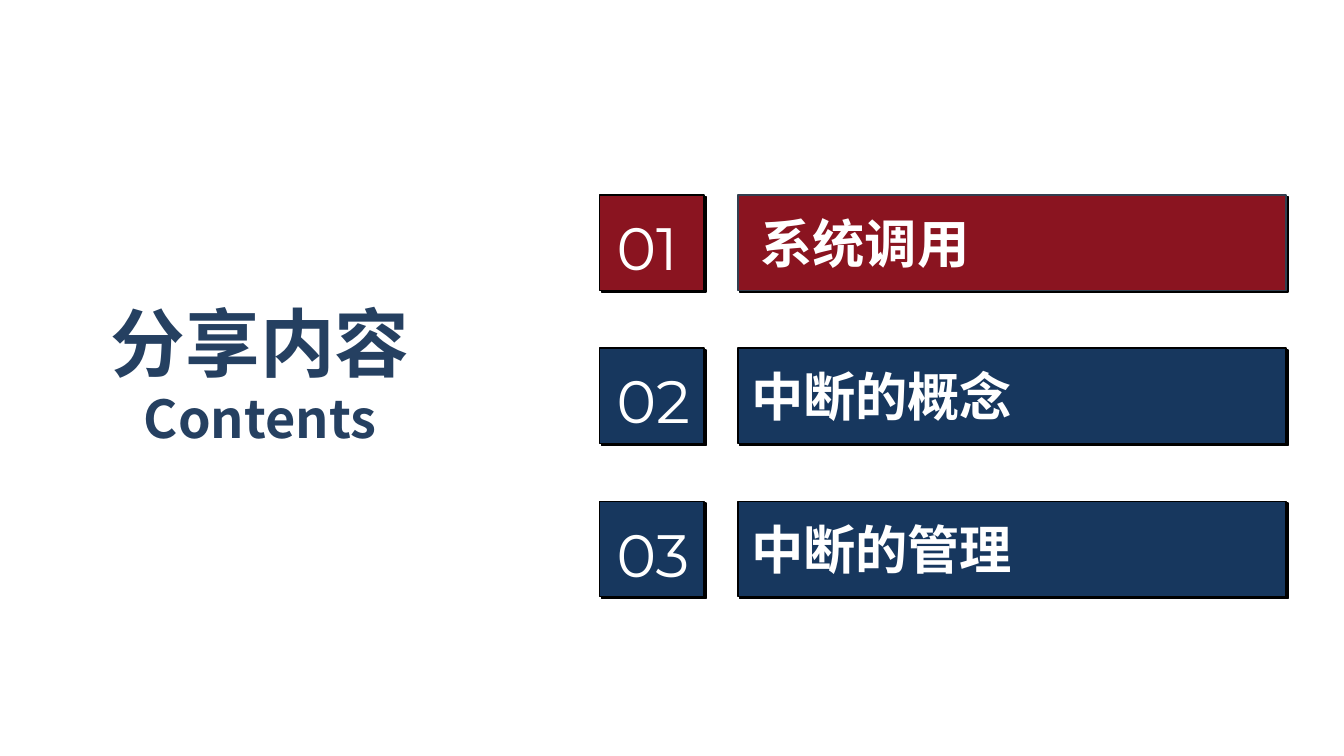
from lxml import etree
from pptx import Presentation
from pptx.dml.color import RGBColor
from pptx.enum.shapes import MSO_SHAPE
from pptx.enum.text import MSO_AUTO_SIZE, PP_ALIGN
from pptx.oxml.ns import qn
from pptx.util import Inches, Pt

RECT = MSO_SHAPE.RECTANGLE
LEFT, CENTER = PP_ALIGN.LEFT, PP_ALIGN.CENTER
GROW = MSO_AUTO_SIZE.SHAPE_TO_FIT_TEXT

THEME = {
    "red": "8A1420", "navy": "17375E", "title": "254061",
    "white": "FFFFFF", "black": "000000", "slate": "323F4F",
    "cjk": "Noto Sans CJK SC", "latin": "Montserrat",
    "title_size": 40, "text_size": 28, "number_size": 32,
}

TITLE = [("分享内容", THEME["title_size"]), ("Contents", THEME["text_size"])]
# label, fill, bar outline, label offset from the bar's left edge
TOPICS = [
    ("系统调用", "red", "slate", 0.07),
    ("中断的概念", "navy", "black", 0),
    ("中断的管理", "navy", "black", 0),
]

SLIDE_W = 10
SLIDE_H = SLIDE_W * 9 / 16
TOP, PITCH, ROW_H = 1.45, 1.14, 0.71
BOX_X, BOX_W = 4.46, 0.78
BAR_X, BAR_W = 5.49, 4.08
TEXT_DY = 0.07


def add_block(s, x, y, w, fill, line):
    """Add a filled rectangle with a hard black shadow at its lower right."""
    sp = s.shapes.add_shape(RECT, Inches(x), Inches(y), Inches(w), Inches(ROW_H))
    sp.fill.solid()
    sp.fill.fore_color.rgb = RGBColor.from_string(THEME[fill])
    sp.line.color.rgb = RGBColor.from_string(THEME[line])
    sp.line.width = Pt(0.75)
    sp.shadow.inherit = False
    effects = sp._element.spPr.find(qn("a:effectLst"))
    shadow = etree.SubElement(effects, qn("a:outerShdw"), blurRad="0",
                              dist=str(Pt(1.4)), dir="2700000",
                              algn="tl", rotWithShape="0")
    etree.SubElement(shadow, qn("a:srgbClr"), val=THEME["black"])


def add_text(s, x, y, w, h, lines, font, color, bold=True, align=LEFT, wrap=True):
    """Add a text box; lines holds (text, size) pairs, one per paragraph."""
    tf = s.shapes.add_textbox(Inches(x), Inches(y), Inches(w), Inches(h)).text_frame
    tf.word_wrap = wrap
    tf.auto_size = GROW
    for i, (text, size) in enumerate(lines):
        p = tf.add_paragraph() if i else tf.paragraphs[0]
        p.text = text
        p.alignment = align
        p.font.size = Pt(size)
        p.font.bold = bold
        p.font.color.rgb = RGBColor.from_string(THEME[color])
        p.font.name = THEME[font]
        # East Asian glyphs take their typeface from a:ea
        props = p._p.pPr.find(qn("a:defRPr"))
        etree.SubElement(props, qn("a:ea"), typeface=THEME[font])


def main():
    prs = Presentation()
    prs.slide_width, prs.slide_height = Inches(SLIDE_W), Inches(SLIDE_H)
    s = prs.slides.add_slide(prs.slide_layouts[6])

    add_text(s, 0.71, 2.16, 2.45, 1.25, TITLE, "cjk", "title",
             align=CENTER, wrap=False)

    for i, (label, fill, bar_line, dx) in enumerate(TOPICS):
        y = TOP + i * PITCH
        add_block(s, BOX_X, y, BOX_W, fill, "black")
        add_text(s, BOX_X + 0.03, y + TEXT_DY, 0.84, 0.64,
                 [(f"{i + 1:02}", THEME["number_size"])], "latin", "white", bold=False)
        add_block(s, BAR_X, y, BAR_W, fill, bar_line)
        add_text(s, BAR_X + dx, y + TEXT_DY, 4.28 - dx, 0.57,
                 [(label, THEME["text_size"])], "cjk", "white")

    prs.save("out.pptx")


if __name__ == "__main__":
    main()
